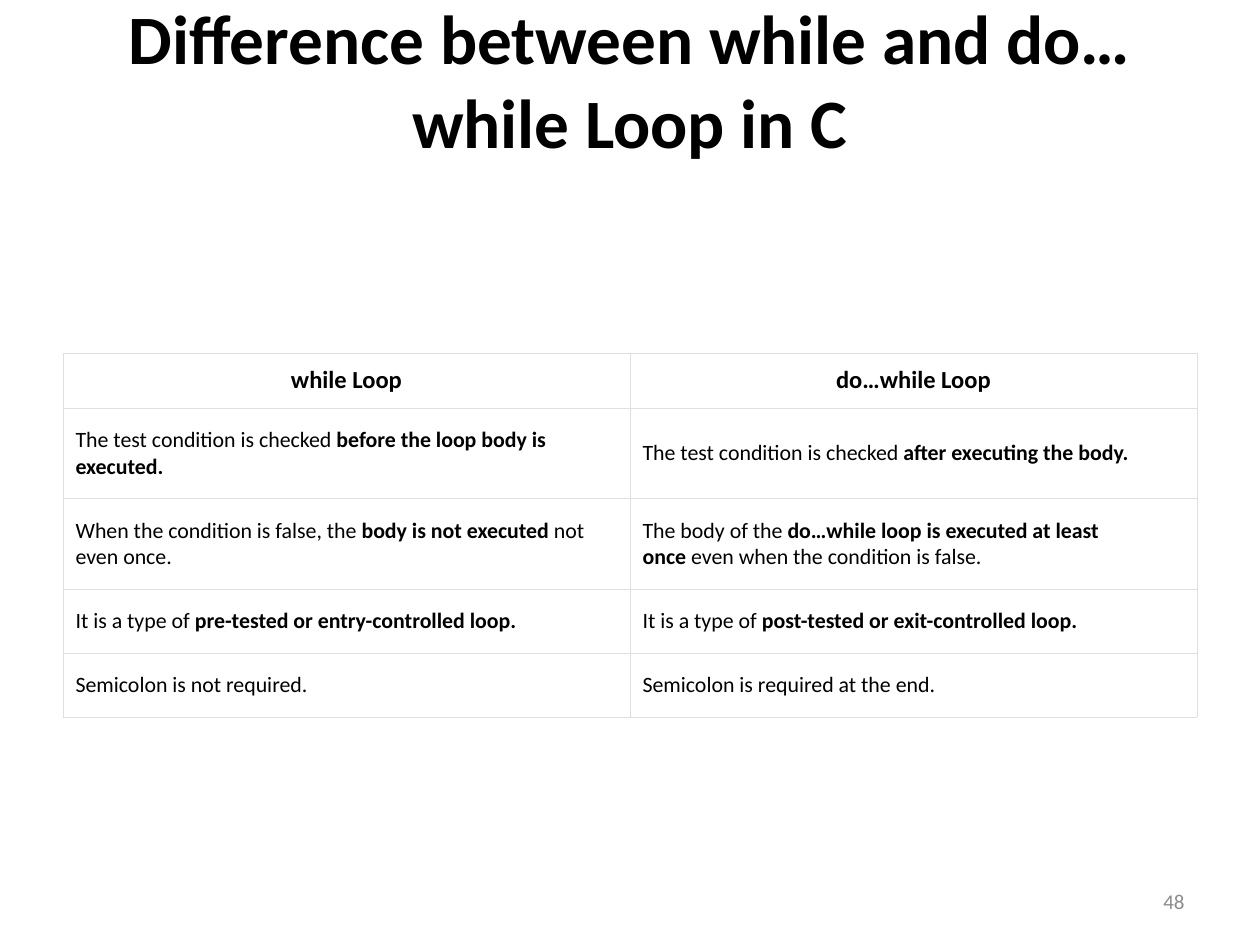
import pptx
import pptx.dml.color
import pptx.enum.text
import pptx.oxml
import pptx.oxml.ns
import pptx.util
from pptx.util import Inches

ALIGN = pptx.enum.text.PP_ALIGN
MIDDLE = pptx.enum.text.MSO_ANCHOR.MIDDLE
BORDER = "DFDFDF"
# Asterisks enclose bold text.
ROWS = [
    (0.44, "*while Loop*", "*do…while Loop*"),
    (0.71, "The test condition is checked*\u00a0before the loop body is executed.*",
     "The test condition is checked\u00a0*after executing the body.*"),
    (0.71, "When the condition is false, the\u00a0*body is not executed*\u00a0not even once.",
     "The body of the\u00a0*do…while loop is executed at least once*"
     "\u00a0even when the condition is false."),
    (0.51, "It is a type of*\u00a0pre-tested or entry-controlled loop.*",
     "It is a type of\u00a0*post-tested or exit-controlled loop.*"),
    (0.5, "Semicolon is not required.", "Semicolon is required at the end."),
]


def rgb(color):
    """Turn a hex string into a colour."""
    return pptx.dml.color.RGBColor.from_string(color)


def set_all(obj, values):
    """Set attributes from a dict of format values."""
    for name, value in values.items():
        setattr(obj, name, value)


def write(tf, text, size, align, color="000000"):
    """Write one paragraph, with bold parts between asterisks."""
    p = tf.paragraphs[0]
    p.alignment = align
    for i, part in enumerate(text.split("*")):
        if part:
            r = p.add_run()
            r.text = part
            set_all(r.font, {"name": "Calibri", "size": pptx.util.Pt(size), "bold": i % 2 == 1})
            r.font.color.rgb = rgb(color)


def add_text(s, box, *text_format):
    """Add a wrapped text box, anchored in the middle."""
    tf = s.shapes.add_textbox(*map(Inches, box)).text_frame
    set_all(tf, {"word_wrap": True, "vertical_anchor": MIDDLE})
    write(tf, *text_format)


def add_borders(cell):
    """Draw a thin line on each side of a cell."""
    pr = cell._tc.get_or_add_tcPr()
    for i, side in enumerate("LRTB"):
        pr.insert(i, pptx.oxml.parse_xml(
            f'<a:ln{side} {pptx.oxml.ns.nsdecls("a")} w="3175"><a:solidFill>'
            f'<a:srgbClr val="{BORDER}"/></a:solidFill></a:ln{side}>'))


def add_comparison(s, left, top, width):
    """Add the table that compares the two loops."""
    height = sum(row[0] for row in ROWS)
    table = s.shapes.add_table(len(ROWS), 2, *map(Inches, (left, top, width, height))).table
    table.horz_banding = False
    for i, (row_height, *texts) in enumerate(ROWS):
        table.rows[i].height = Inches(row_height)
        header = i == 0
        pad = Inches(0.1 if header else 0.15)
        for j, text in enumerate(texts):
            cell = table.cell(i, j)
            side = Inches(0.04 if header and j == 0 else 0.1)
            set_all(cell, {"margin_left": side, "margin_right": side, "margin_top": pad,
                           "margin_bottom": pad, "vertical_anchor": MIDDLE})
            cell.fill.solid()
            cell.fill.fore_color.rgb = rgb("FFFFFF")
            write(cell.text_frame, text, 14 if header else 12.5,
                  ALIGN.CENTER if header else ALIGN.LEFT)
            add_borders(cell)


def main():
    """Build and save the slide."""
    prs = pptx.Presentation()
    set_all(prs, {"slide_width": Inches(10), "slide_height": Inches(7.5)})
    s = prs.slides.add_slide(prs.slide_layouts[6])
    add_text(s, (0.5, 0, 9, 1.25), "*Difference between while and do…while Loop in C*",
             39.6, ALIGN.CENTER)
    add_comparison(s, 0.5, 2.8, 9)
    add_text(s, (7.17, 6.95, 2.33, 0.4), "48", 12, ALIGN.RIGHT, "8C8C8C")
    prs.save("out.pptx")


main()
